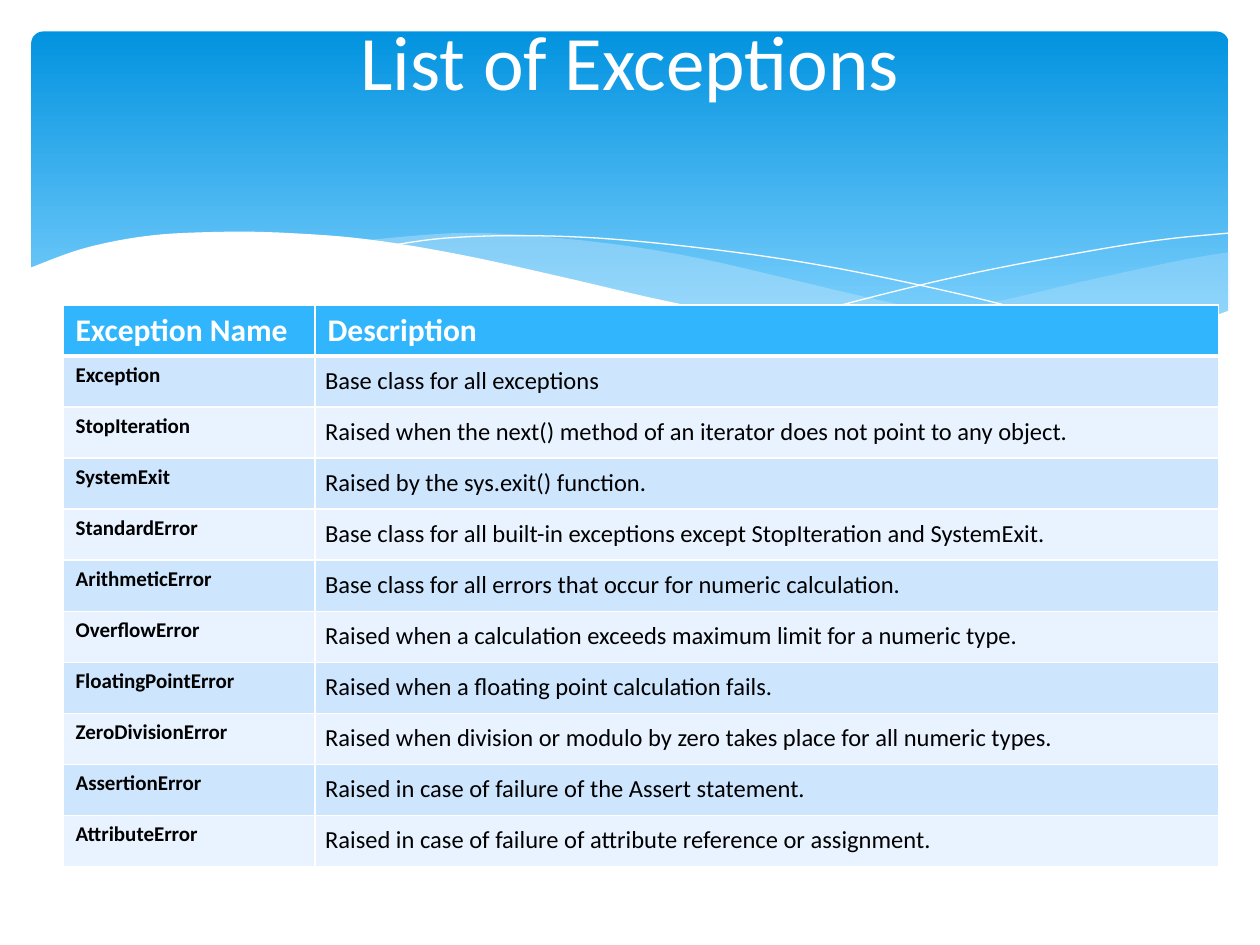
from pptx import Presentation
from pptx.dml.color import RGBColor
from pptx.enum.shapes import MSO_SHAPE as Shape
from pptx.enum.text import MSO_ANCHOR as Anchor, PP_ALIGN as Align
from pptx.oxml import parse_xml
from pptx.oxml.ns import nsdecls, qn
from pptx.util import Inches, Pt
from lxml.etree import SubElement

WIDTH, HEIGHT = 10, 7.5
FONT = "Calibri"
WHITE = RGBColor(0xFF, 0xFF, 0xFF)
BLACK = RGBColor(0, 0, 0)
SKY_DARK = RGBColor(0x02, 0x93, 0xE0)
SKY_LIGHT = RGBColor(0x83, 0xD3, 0xFE)
WAVE_BLUE = RGBColor(0xC6, 0xE7, 0xFC)
HEADER_BLUE = RGBColor(0x31, 0xB6, 0xFD)
BAND_COLORS = [RGBColor(0xCE, 0xE5, 0xFE), RGBColor(0xE8, 0xF3, 0xFF)]

RIGHT_WAVE = [
    [(9.76, 2), (9.35, 2.07), (8.61, 2.23), (7.79, 2.42), (6.61, 2.65)],
    [(6.61, 2.65), (7.32, 2.74), (8.03, 2.78), (8.63, 2.75), (9.21, 2.65), (9.76, 2.47)],
]
MIDDLE_WAVE = [
    [(8.93, 2.73), (8.07, 2.6), (7.06, 2.4), (6.29, 2.22), (5.55, 2.05),
     (4.89, 1.94), (4.2, 1.87), (3.61, 1.85), (2.86, 1.91)],
    [(2.86, 1.91), (3.62, 2.03), (4.49, 2.22), (5.3, 2.4), (6.18, 2.58),
     (6.95, 2.7), (7.61, 2.77), (8.18, 2.78), (8.93, 2.73)],
]
FALLING_LINE = [[(3.09, 1.95), (3.53, 1.89), (4.16, 1.87), (4.89, 1.9), (5.82, 2),
                 (6.65, 2.13), (7.6, 2.33), (8.31, 2.51), (9.07, 2.72)]]
RISING_LINE = [[(6.13, 2.57), (6.95, 2.35), (7.76, 2.16), (8.66, 1.99),
                (9.24, 1.9), (9.75, 1.85)]]
WHITE_WAVE = [
    [(9.77, 2.46), (9.3, 2.62), (8.75, 2.73), (8.09, 2.77), (7.26, 2.72),
     (6.26, 2.58), (5.29, 2.39), (4.47, 2.2), (3.65, 2.02), (2.92, 1.9),
     (2.3, 1.85), (1.77, 1.84), (1.19, 1.87), (0.67, 1.97), (0.23, 2.13)],
    [(0.23, 3.29), (9.77, 3.29)],
]

ROWS = [
    ("Exception Name", "Description"),
    ("Exception", "Base class for all exceptions"),
    ("StopIteration", "Raised when the next() method of an iterator does not point to any object."),
    ("SystemExit", "Raised by the sys.exit() function."),
    ("StandardError", "Base class for all built-in exceptions except StopIteration and SystemExit."),
    ("ArithmeticError", "Base class for all errors that occur for numeric calculation."),
    ("OverflowError", "Raised when a calculation exceeds maximum limit for a numeric type."),
    ("FloatingPointError", "Raised when a floating point calculation fails."),
    ("ZeroDivisionError", "Raised when division or modulo by zero takes place for all numeric types."),
    ("AssertionError", "Raised in case of failure of the Assert statement."),
    ("AttributeError", "Raised in case of failure of attribute reference or assignment."),
]


def smooth(points, steps=6):
    padded = [points[0], *points, points[-1]]
    curve = [points[0]]
    for before, start, end, after in zip(padded, padded[1:], padded[2:], padded[3:]):
        for step in range(1, steps + 1):
            t = step / steps
            curve.append(tuple(
                b + ((c - a) * t + (2 * a - 5 * b + 4 * c - d) * t ** 2
                     + (3 * b - a - 3 * c + d) * t ** 3) / 2
                for a, b, c, d in zip(before, start, end, after)))
    return curve


def draw_edges(slide, edges, closed):
    points = [(Inches(x), Inches(y)) for edge in edges
              for x, y in (smooth(edge) if len(edge) > 2 else edge)]
    builder = slide.shapes.build_freeform(*points[0], scale=1.0)
    builder.add_line_segments(points[1:], close=closed)
    shape = builder.convert_to_shape()
    shape.shadow.inherit = False
    return shape


def add_wave(slide, edges, color, opacity=100):
    shape = draw_edges(slide, edges, True)
    shape.fill.solid()
    shape.fill.fore_color.rgb = color
    shape.line.fill.background()
    if opacity < 100:
        color_element = shape._element.spPr.find(qn("a:solidFill"))[0]
        SubElement(color_element, qn("a:alpha"), val=str(opacity * 1000))


def add_wave_line(slide, edges):
    shape = draw_edges(slide, edges, False)
    shape.fill.background()
    shape.line.color.rgb = WHITE
    shape.line.width = Pt(0)


def add_sky(slide):
    margin = 0.25
    sky = slide.shapes.add_shape(Shape.ROUNDED_RECTANGLE, Inches(margin), Inches(margin),
                                 Inches(WIDTH - 2 * margin), Inches(HEIGHT * 0.36))
    sky.adjustments[0] = 0.034
    sky.shadow.inherit = False
    sky.line.fill.background()
    sky.fill.gradient()
    sky.fill.gradient_angle = 270
    for stop, color, position in zip(sky.fill.gradient_stops, (SKY_DARK, SKY_LIGHT), (0, 0.9)):
        stop.color.rgb = color
        stop.position = position


def set_borders(cell, top=1, bottom=1):
    properties = cell._tc.get_or_add_tcPr()
    for index, (side, width) in enumerate(zip("LRTB", (1, 1, top, bottom))):
        properties.insert(index, parse_xml(
            f'<a:ln{side} {nsdecls("a")} w="{Pt(width)}"><a:solidFill>'
            f'<a:srgbClr val="{WHITE}"/></a:solidFill></a:ln{side}>'))


def format_text(paragraph, size, color, bold=False):
    paragraph.font.name = FONT
    paragraph.font.size = Pt(size)
    paragraph.font.color.rgb = color
    paragraph.font.bold = bold


def fill_cell(cell, text, row, column):
    cell.text = text
    paragraph = cell.text_frame.paragraphs[0]
    cell.fill.solid()
    if row == 0:
        cell.fill.fore_color.rgb = HEADER_BLUE
        format_text(paragraph, 18, WHITE, True)
    else:
        cell.fill.fore_color.rgb = BAND_COLORS[(row - 1) % 2]
        format_text(paragraph, 14 if column else 12, BLACK, column == 0)
        if column:
            paragraph.alignment = Align.JUSTIFY
            cell.margin_left = cell.margin_right = Inches(0.08)
            cell.margin_top = cell.margin_bottom = Inches(0.08)
    set_borders(cell, top=3 if row == 1 else 1, bottom=3 if row == 0 else 1)


def add_exception_table(slide):
    widths = (2, 7.17)
    frame = slide.shapes.add_table(len(ROWS), len(widths), Inches(0.5), Inches(2.42),
                                   Inches(sum(widths)), Inches(4.46))
    table = frame.table
    for column, width in zip(table.columns, widths):
        column.width = Inches(width)
    for row, texts in enumerate(ROWS):
        for column, text in enumerate(texts):
            fill_cell(table.cell(row, column), text, row, column)


def place_title(slide, text):
    title = slide.shapes.title
    title.left, title.top = Inches(0.5), 0
    title.width, title.height = Inches(WIDTH * 0.9), Inches(0.95)
    title.text_frame.text = text
    title.text_frame.vertical_anchor = Anchor.MIDDLE
    paragraph = title.text_frame.paragraphs[0]
    paragraph.alignment = Align.CENTER
    format_text(paragraph, 44, WHITE)
    slide.shapes._spTree.append(title._element)


def main():
    presentation = Presentation()
    presentation.slide_width, presentation.slide_height = Inches(WIDTH), Inches(HEIGHT)
    slide = presentation.slides.add_slide(presentation.slide_layouts[5])
    add_sky(slide)
    add_wave(slide, RIGHT_WAVE, WAVE_BLUE, 29)
    add_wave(slide, MIDDLE_WAVE, WAVE_BLUE, 40)
    add_wave_line(slide, FALLING_LINE)
    add_wave_line(slide, RISING_LINE)
    add_wave(slide, WHITE_WAVE, WHITE)
    add_exception_table(slide)
    place_title(slide, "List of Exceptions")
    presentation.save("out.pptx")


if __name__ == "__main__":
    main()
